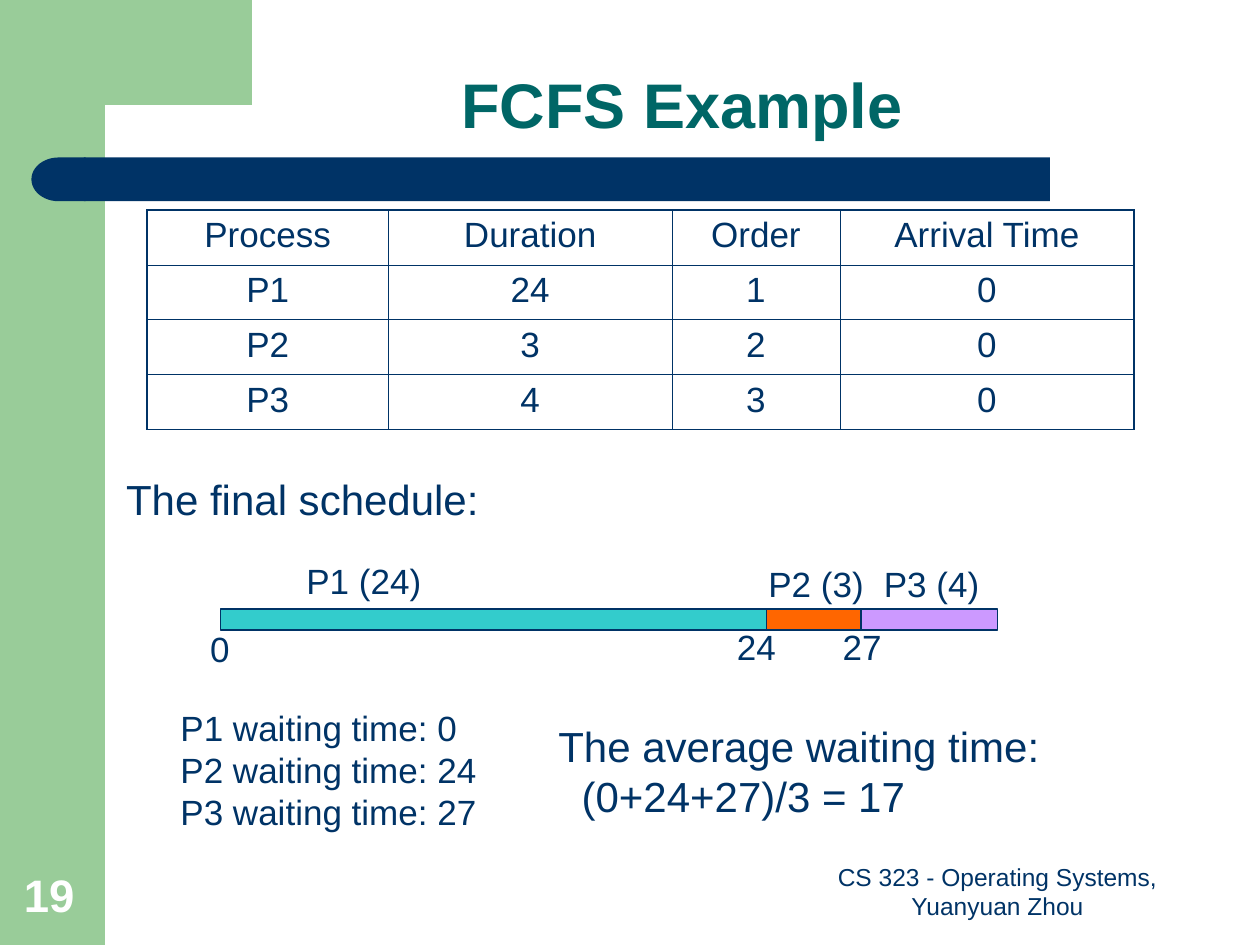
from dataclasses import dataclass
from lxml.etree import SubElement
from pptx import Presentation
from pptx.dml.color import RGBColor
from pptx.enum.dml import MSO_LINE
from pptx.enum.shapes import MSO_CONNECTOR, MSO_SHAPE
from pptx.enum.text import MSO_ANCHOR, MSO_AUTO_SIZE, PP_ALIGN
from pptx.oxml.ns import qn
from pptx.util import Pt


@dataclass(frozen=True)
class Theme:
    font: str = "Arial"
    navy: str = "003366"
    green: str = "99CC99"
    teal: str = "006666"
    white: str = "FFFFFF"
    first_bar: str = "33CCCC"
    second_bar: str = "FF6600"
    third_bar: str = "CC99FF"
    title: int = 36
    number: int = 26
    statement: int = 24
    body: int = 20
    footer: int = 14


theme = Theme()


def write(frame, text, size=theme.body, color=theme.navy, bold=False,
          align=PP_ALIGN.LEFT, anchor=MSO_ANCHOR.TOP, wrap=True, spacing=None):
    """Fill a text frame, one paragraph for each line of text."""
    frame.word_wrap = wrap
    frame.vertical_anchor = anchor
    frame.auto_size = MSO_AUTO_SIZE.NONE if wrap else MSO_AUTO_SIZE.SHAPE_TO_FIT_TEXT
    for index, line in enumerate(text.split("\n")):
        para = frame.add_paragraph() if index else frame.paragraphs[0]
        para.alignment = align
        para.line_spacing = spacing
        span = para.add_run()
        span.text = line
        span.font.name = theme.font
        span.font.size = Pt(size)
        span.font.bold = bold
        span.font.color.rgb = RGBColor.from_string(color)


def paint(shape, fill, outline=None):
    shape.shadow.inherit = False
    shape.fill.solid()
    shape.fill.fore_color.rgb = RGBColor.from_string(fill)
    if outline:
        shape.line.color.rgb = RGBColor.from_string(outline)
        shape.line.width = Pt(0.75)
    else:
        shape.line.fill.background()


deck = Presentation()
deck.slide_width, deck.slide_height = Pt(720), Pt(540)
page = deck.slides.add_slide(deck.slide_layouts[6])
shapes = page.shapes

# Green side band and corner
paint(shapes.add_shape(MSO_SHAPE.RECTANGLE, 0, 0, Pt(60), Pt(540)), theme.green)
corner = shapes.build_freeform(144, 0, scale=Pt(1))
corner.add_line_segments([(144, 60), (60, 60), (55, 61), (51, 66), (49, 75),
                          (48, 84), (48, 92), (36, 92), (36, 0)])
paint(corner.convert_to_shape(), theme.green)

# Navy bar with a rounded left end
paint(shapes.add_shape(MSO_SHAPE.RECTANGLE, Pt(48), Pt(90), Pt(552), Pt(25)), theme.navy)
bar_end = shapes.add_shape(MSO_SHAPE.FLOWCHART_DELAY, Pt(18), Pt(90), Pt(31), Pt(25))
paint(bar_end, theme.navy)
bar_end._element.spPr.find(qn("a:xfrm")).set("flipH", "1")

# Title
title = shapes.add_textbox(Pt(83.5), Pt(6), Pt(612.5), Pt(78.5))
write(title.text_frame, "FCFS Example", size=theme.title, color=theme.teal, bold=True,
      align=PP_ALIGN.CENTER, anchor=MSO_ANCHOR.BOTTOM, spacing=0.9)

# Process table
rows = [
    ("Process", "Duration", "Order", "Arrival Time"),
    ("P1", "24", "1", "0"),
    ("P2", "3", "2", "0"),
    ("P3", "4", "3", "0"),
]
column_widths = (138, 162, 96, 168)
row_height = 31.4
table = shapes.add_table(len(rows), len(column_widths), Pt(84), Pt(120),
                         Pt(sum(column_widths)), Pt(row_height * len(rows))).table
table.first_row = table.horz_banding = False
for column, width in zip(table.columns, column_widths):
    column.width = Pt(width)
for row_index, row in enumerate(rows):
    table.rows[row_index].height = Pt(row_height)
    for column_index, value in enumerate(row):
        cell = table.cell(row_index, column_index)
        write(cell.text_frame, value, align=PP_ALIGN.CENTER)
        cell.fill.background()
        # Thick lines on the outer edge, thin lines inside
        edges = {
            "a:lnL": column_index == 0,
            "a:lnR": column_index == len(row) - 1,
            "a:lnT": row_index == 0,
            "a:lnB": row_index == len(rows) - 1,
        }
        properties = cell._tc.get_or_add_tcPr()
        for position, (tag, outer) in enumerate(edges.items()):
            border = SubElement(properties, qn(tag), w=str(Pt(1.08 if outer else 0.45)))
            SubElement(SubElement(border, qn("a:solidFill")), qn("a:srgbClr"), val=theme.navy)
            properties.insert(position, border)

# Schedule: time axis and bars
axis = shapes.add_connector(MSO_CONNECTOR.STRAIGHT, Pt(150), Pt(354), Pt(546), Pt(354))
axis.line.color.rgb = RGBColor.from_string(theme.navy)
axis.line.width = Pt(0.75)
axis.line.dash_style = MSO_LINE.ROUND_DOT
SubElement(axis._element.spPr, qn("a:effectLst"))
for left, width, fill in [(126, 318, theme.first_bar), (438, 60, theme.second_bar),
                          (492, 78, theme.third_bar)]:
    bar = shapes.add_shape(MSO_SHAPE.RECTANGLE, Pt(left), Pt(348), Pt(width), Pt(12))
    paint(bar, fill, outline=theme.navy)

# Schedule labels, waiting times and average
labels = [
    ("The final schedule:", 65, 267, 216, 36, theme.statement),
    ("P1 (24)", 168, 316, 80, 31.5, theme.body),
    ("P2 (3)", 432, 318, 69, 31.5, theme.body),
    ("P3 (4)", 498, 318, 69, 31.5, theme.body),
    ("0", 113, 355, 25.5, 31.5, theme.body),
    ("24", 414, 354, 36.5, 31.5, theme.body),
    ("27", 474.5, 354, 36.5, 31.5, theme.body),
    ("P1 waiting time: 0\nP2 waiting time: 24\nP3 waiting time: 27",
     96, 400, 183.5, 79, theme.body),
    ("The average waiting time:\n(0+24+27)/3 = 17", 312, 408, 296, 65, theme.statement),
]
for text, left, top, width, height, size in labels:
    box = shapes.add_textbox(Pt(left), Pt(top), Pt(width), Pt(height))
    write(box.text_frame, text, size=size, wrap=False)
# The formula of the last label is set in from the margin
formula = box.text_frame.paragraphs[1]
formula._p.get_or_add_pPr().set("marL", str(Pt(13.3)))

# Footer and slide number
footer = shapes.add_textbox(Pt(456), Pt(492), Pt(228), Pt(37.5))
write(footer.text_frame, "CS 323 - Operating Systems, Yuanyuan Zhou", size=theme.footer,
      align=PP_ALIGN.CENTER, anchor=MSO_ANCHOR.BOTTOM)
number = shapes.add_textbox(Pt(6.5), Pt(492), Pt(46), Pt(38))
write(number.text_frame, "19", size=theme.number, color=theme.white, bold=True,
      anchor=MSO_ANCHOR.BOTTOM)

deck.save("out.pptx")
